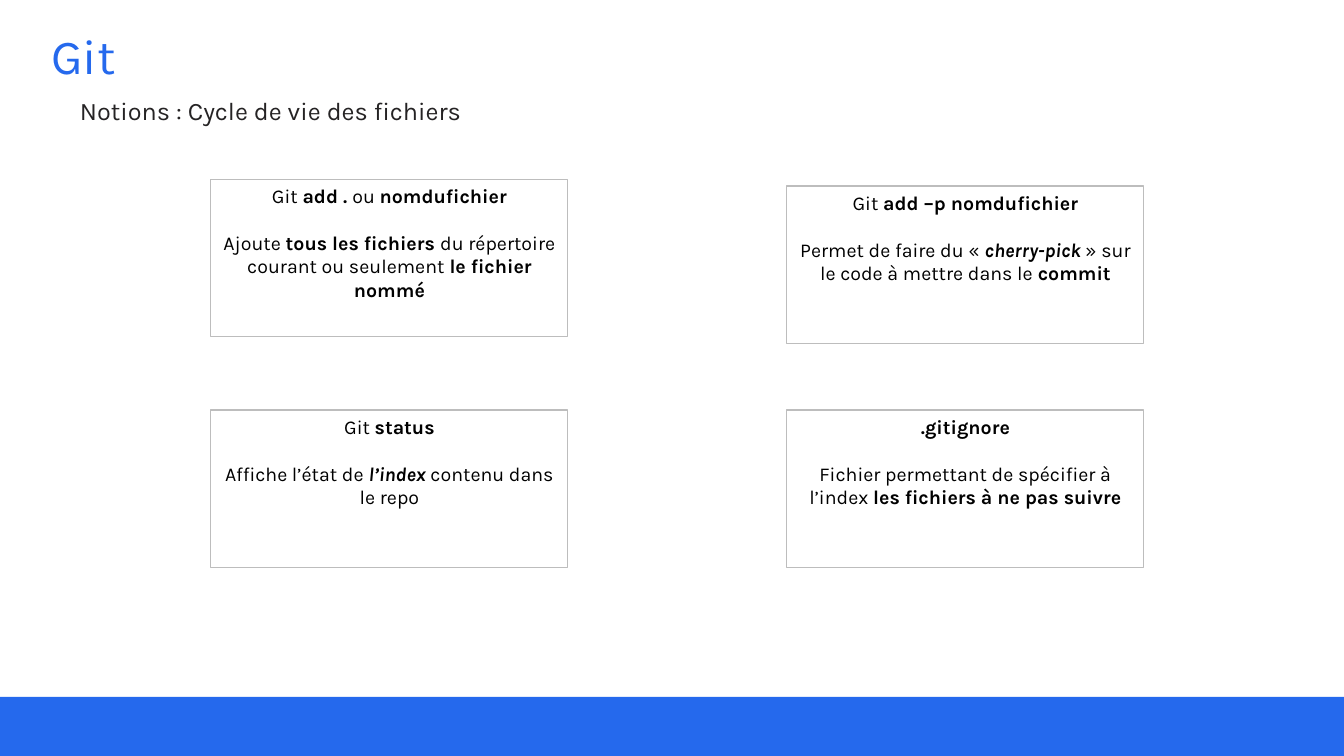
from typing import NamedTuple

from pptx import Presentation
from pptx.dml.color import RGBColor
from pptx.enum import shapes, text
from pptx.util import Emu, Pt

EMU_PER_PX = 914400 / 100.8
FONT = "Karla"
BLUE, DARK, BLACK, GREY = "2569ED", "252324", "000000", "BDBDBD"
CARD_WIDTH, CARD_HEIGHT = 357, 158
LEFT_COLUMN, RIGHT_COLUMN = 211, 787


class Run(NamedTuple):
    text: str
    bold: bool = False
    italic: bool = False


class Card(NamedTuple):
    left: int
    top: int
    heading: list[Run]
    description: list[Run]


CARDS = [
    Card(LEFT_COLUMN, 179,
         [Run("Git "), Run("add . ", True), Run("ou "), Run("nomdufichier", True)],
         [Run("Ajoute "), Run("tous les fichiers ", True),
          Run("du répertoire courant ou seulement "), Run("le fichier nommé", True)]),
    Card(RIGHT_COLUMN, 186,
         [Run("Git "), Run("add –p nomdufichier", True)],
         [Run("Permet de faire du « "), Run("cherry-pick", True, True),
          Run(" » sur le code à mettre dans le "), Run("commit", True)]),
    Card(LEFT_COLUMN, 410,
         [Run("Git "), Run("status", True)],
         [Run("Affiche l’état de "), Run("l’index", True, True),
          Run(" contenu dans le repo")]),
    Card(RIGHT_COLUMN, 410,
         [Run(".gitignore", True)],
         [Run("Fichier permettant de spécifier à l’index "),
          Run("les fichiers à ne pas suivre", True)]),
]


def px(length: int) -> Emu:
    return Emu(round(length * EMU_PER_PX))


def color(value: str) -> RGBColor:
    return RGBColor.from_string(value)


def add_runs(paragraph, runs: list[Run], size: int, fill: str) -> None:
    for item in runs:
        run = paragraph.add_run()
        run.text = item.text
        run.font.name = FONT
        run.font.size = Pt(size)
        run.font.bold = item.bold
        run.font.italic = item.italic
        run.font.color.rgb = color(fill)


def add_rectangle(slide, left: int, top: int, width: int, height: int):
    shape = slide.shapes.add_shape(
        shapes.MSO_SHAPE.RECTANGLE, px(left), px(top), px(width), px(height))
    shape.shadow.inherit = False
    return shape


def add_card(slide, card: Card) -> None:
    shape = add_rectangle(slide, card.left, card.top, CARD_WIDTH, CARD_HEIGHT)
    shape.fill.background()
    shape.line.color.rgb = color(GREY)
    shape.line.width = Pt(0.75)
    frame = shape.text_frame
    frame.word_wrap = True
    frame.vertical_anchor = text.MSO_ANCHOR.TOP
    heading, description = frame.paragraphs[0], frame.add_paragraph()
    description.space_before = Pt(16.4)
    for paragraph, runs in ((heading, card.heading), (description, card.description)):
        paragraph.alignment = text.PP_ALIGN.CENTER
        add_runs(paragraph, runs, 14, BLACK)


def add_title(slide) -> None:
    title = slide.shapes.title
    title.left, title.top, title.width, title.height = map(px, (41, 27, 1241, 64))
    frame = title.text_frame
    frame.auto_size = text.MSO_AUTO_SIZE.NONE
    frame.vertical_anchor = text.MSO_ANCHOR.MIDDLE
    paragraph = frame.paragraphs[0]
    paragraph.alignment = text.PP_ALIGN.LEFT
    paragraph.line_spacing = 0.9
    add_runs(paragraph, [Run("Git")], 35, BLUE)


def add_subtitle(slide) -> None:
    box = slide.shapes.add_textbox(px(70), px(90), px(660), px(40))
    box.text_frame.word_wrap = True
    add_runs(box.text_frame.paragraphs[0],
             [Run("Notions : Cycle de vie des fichiers")], 18, DARK)


def main() -> None:
    presentation = Presentation()
    presentation.slide_width, presentation.slide_height = px(1344), px(756)
    slide = presentation.slides.add_slide(presentation.slide_layouts[5])

    # Headings
    add_title(slide)
    add_subtitle(slide)

    # Footer band
    band = add_rectangle(slide, 0, 697, 1344, 59)
    band.fill.solid()
    band.fill.fore_color.rgb = color(BLUE)
    band.line.fill.background()

    # Command cards
    for card in CARDS:
        add_card(slide, card)

    presentation.save("out.pptx")


if __name__ == "__main__":
    main()
